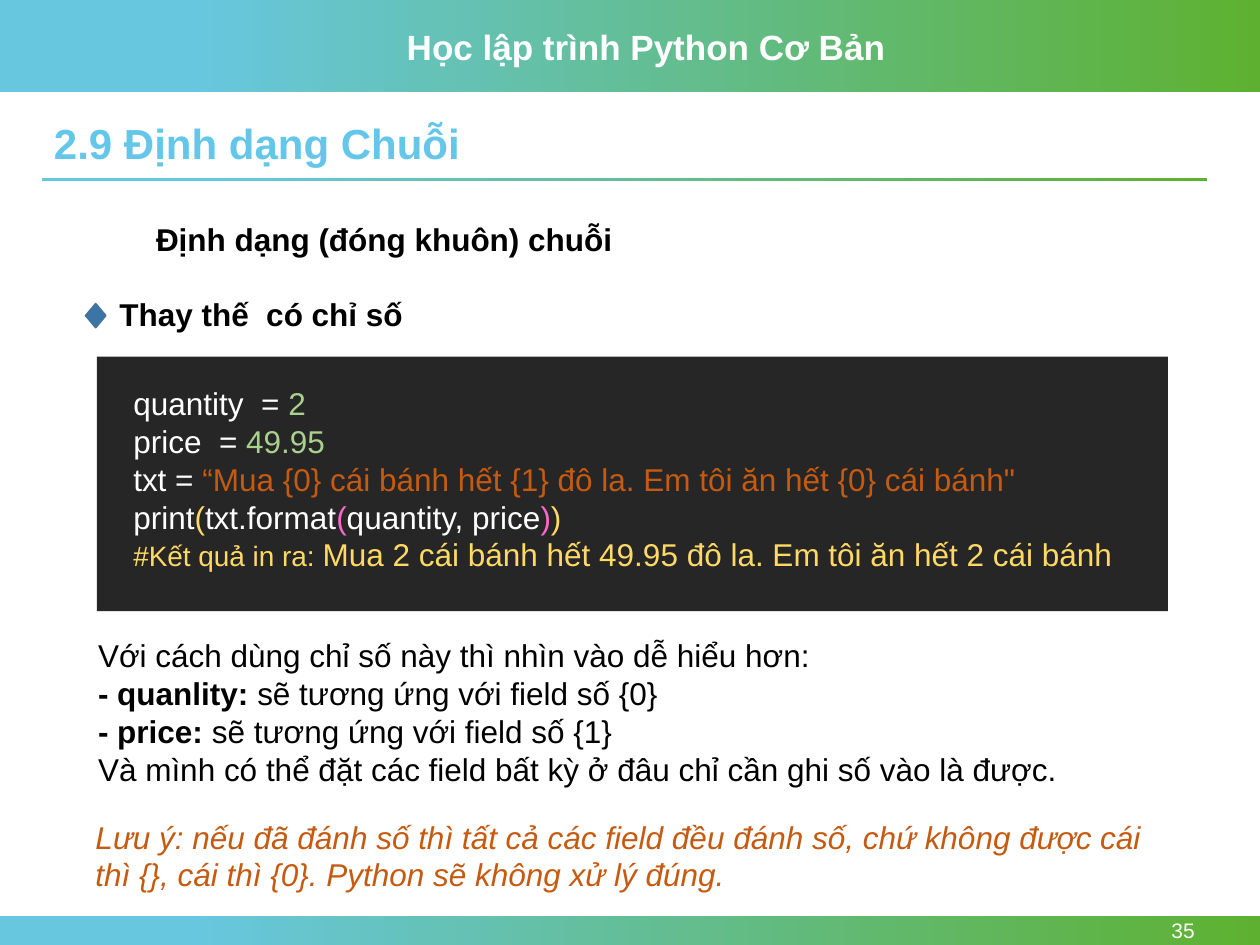
import pptx
import pptx.dml.color
import pptx.enum.shapes
import pptx.enum.text
import pptx.util
from pptx.util import Inches

RGBColor = pptx.dml.color.RGBColor
SHAPE = pptx.enum.shapes.MSO_SHAPE
ALIGN = pptx.enum.text.PP_ALIGN
ANCHOR = pptx.enum.text.MSO_ANCHOR

WHITE = RGBColor(0xFF, 0xFF, 0xFF)
BLACK = RGBColor(0, 0, 0)
SKY = RGBColor(0x67, 0xC7, 0xDF)
LEAF = RGBColor(0x5E, 0xB1, 0x30)
TITLE_BLUE = RGBColor(0x64, 0xC7, 0xE9)
CODE_BACK = RGBColor(0x26, 0x26, 0x26)
NUMBER_GREEN = RGBColor(0xA9, 0xD1, 0x8E)
RUST = RGBColor(0xC5, 0x5A, 0x11)
GOLD = RGBColor(0xFF, 0xD9, 0x66)
PINK = RGBColor(0xFF, 0x66, 0xCC)
MARKER_FILL = RGBColor(0x3A, 0x75, 0xA6)
MARKER_LINE = RGBColor(0x43, 0x73, 0x9E)

CODE_LINES = [
    [("quantity  = ", WHITE), ("2", NUMBER_GREEN)],
    [("price  = ", WHITE), ("49.95", NUMBER_GREEN)],
    [("txt = ", WHITE),
     ("“Mua {0} cái bánh hết {1} đô la. Em tôi ăn hết {0} cái bánh\"", RUST)],
    [("print", WHITE), ("(", GOLD), ("txt.format", WHITE), ("(", PINK),
     ("quantity, price", WHITE), (")", PINK), (")", GOLD)],
]
RESULT = [("#Kết quả in ra: ", 16),
          ("Mua 2 cái bánh hết 49.95 đô la. Em tôi ăn hết 2 cái bánh", 18)]
EXPLANATION = [
    ("", "Với cách dùng chỉ số này thì nhìn vào dễ hiểu hơn:"),
    ("- quanlity: ", "sẽ tương ứng với field số {0}"),
    ("- price: ", "sẽ tương ứng với field số {1}"),
    ("", "Và mình có thể đặt các field bất kỳ ở đâu chỉ cần ghi số vào là được."),
]
WARNING = ("Lưu ý: nếu đã đánh số thì tất cả các field đều đánh số, chứ không được cái "
           "thì {}, cái thì {0}. Python sẽ không xử lý đúng.")


def add_block(slide, left, top, width, height, kind=SHAPE.RECTANGLE):
    block = slide.shapes.add_shape(
        kind, Inches(left), Inches(top), Inches(width), Inches(height))
    block.shadow.inherit = False
    block.line.fill.background()
    return block


def add_gradient_band(slide, left, top, width, height):
    fill = add_block(slide, left, top, width, height).fill
    fill.gradient()
    fill.gradient_angle = 0
    for stop, position, color in zip(fill.gradient_stops, (0.15, 1), (SKY, LEAF)):
        stop.position = position
        stop.color.rgb = color


def add_frame(slide, left, top, width, height):
    frame = slide.shapes.add_textbox(
        Inches(left), Inches(top), Inches(width), Inches(height)).text_frame
    frame.word_wrap = True
    return frame


def style(font, size=18, color=None, bold=None, italic=None):
    font.name = "Arial"
    font.size = pptx.util.Pt(size)
    font.bold = bold
    font.italic = italic
    if color is not None:
        font.color.rgb = color


def add_line(slide, left, top, width, height, text, **look):
    frame = add_frame(slide, left, top, width, height)
    paragraph = frame.paragraphs[0]
    paragraph.text = text
    style(paragraph.font, **look)
    return frame


def next_paragraph(frame, index):
    return frame.add_paragraph() if index else frame.paragraphs[0]


def add_header(slide, left, top, width, height):
    add_gradient_band(slide, left, top, width, height)
    add_line(slide, left + 3.13, top + 0.15, 4, 0.44, "Học lập trình Python Cơ Bản",
             size=20, color=WHITE, bold=True)


def add_footer(slide, left, top, width, height):
    add_gradient_band(slide, left, top, width, height)
    page = add_line(slide, left + 8.66, top, 0.92, height, "35", size=12, color=WHITE)
    page.vertical_anchor = ANCHOR.MIDDLE
    page.margin_top = page.margin_bottom = 0
    page.paragraphs[0].alignment = ALIGN.RIGHT


def add_section_title(slide, left, top, width, height):
    add_gradient_band(slide, left, top + height - 0.03, width, 0.03)
    title = add_line(slide, left, top, width, 0.46, "2.9 Định dạng Chuỗi",
                     size=24, color=TITLE_BLUE, bold=True)
    title.paragraphs[0].line_spacing = 0.9


def add_topic(slide, left, top, width, height):
    add_line(slide, left + 0.46, top, 7.03, 0.4, "Định dạng (đóng khuôn) chuỗi",
             color=BLACK, bold=True)
    subtopic_top = top + height - 0.4
    add_line(slide, left + 0.17, subtopic_top, width - 0.17, 0.4, "Thay thế  có chỉ số",
             color=BLACK, bold=True)
    marker = add_block(slide, left, subtopic_top + 0.12, 0.16, 0.19,
                       SHAPE.FLOWCHART_DECISION)
    marker.fill.solid()
    marker.fill.fore_color.rgb = MARKER_FILL
    marker.line.color.rgb = MARKER_LINE
    marker.line.width = pptx.util.Pt(1)


def add_code(slide, left, top, width, height):
    panel = add_block(slide, left, top, width, height)
    panel.fill.solid()
    panel.fill.fore_color.rgb = CODE_BACK
    code = add_frame(slide, left + 0.19, top + 0.17, width - 0.4, height - 0.4)
    for index, tokens in enumerate(CODE_LINES):
        paragraph = next_paragraph(code, index)
        style(paragraph.font)
        for text, color in tokens:
            token = paragraph.add_run()
            token.text = text
            token.font.color.rgb = color
    result = code.add_paragraph()
    style(result.font, color=GOLD)
    for text, size in RESULT:
        part = result.add_run()
        part.text = text
        part.font.size = pptx.util.Pt(size)


def add_explanation(slide, left, top, width, height):
    explanation = add_frame(slide, left, top, width, height)
    for index, (term, meaning) in enumerate(EXPLANATION):
        paragraph = next_paragraph(explanation, index)
        style(paragraph.font, color=BLACK)
        if term:
            label = paragraph.add_run()
            label.text = term
            label.font.bold = True
        paragraph.add_run().text = meaning


def add_warning(slide, left, top, width, height):
    add_line(slide, left, top, width, height, WARNING, color=RUST, italic=True)


def main():
    deck = pptx.Presentation()
    deck.slide_width = Inches(10)
    deck.slide_height = Inches(7.5)
    slide = deck.slides.add_slide(deck.slide_layouts[6])
    add_header(slide, 0, 0, 10, 0.73)
    add_footer(slide, 0, 7.27, 10, 0.23)
    add_section_title(slide, 0.33, 0.93, 9.25, 0.51)
    add_topic(slide, 0.68, 1.7, 8.74, 0.99)
    add_code(slide, 0.77, 2.83, 8.5, 2.02)
    add_explanation(slide, 0.68, 5, 8.57, 1.31)
    add_warning(slide, 0.66, 6.44, 8.57, 0.71)
    deck.save("out.pptx")


if __name__ == "__main__":
    main()
